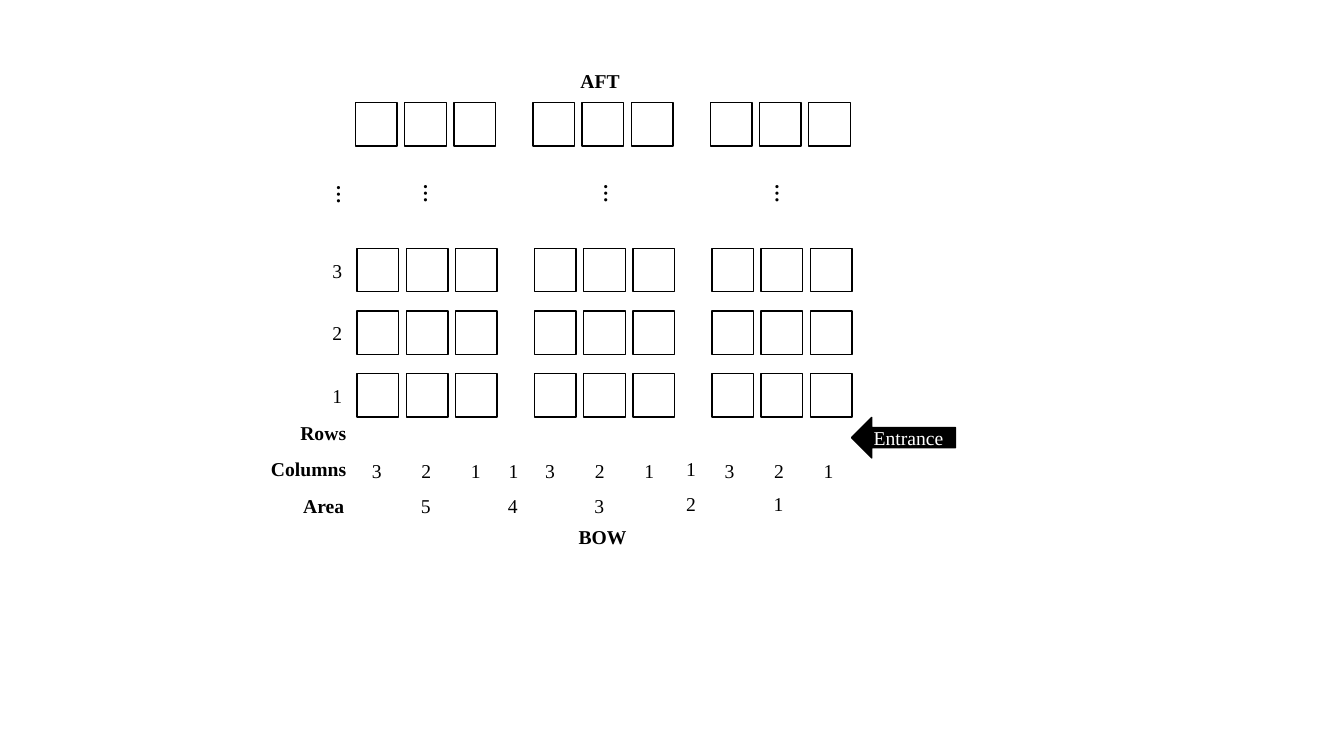
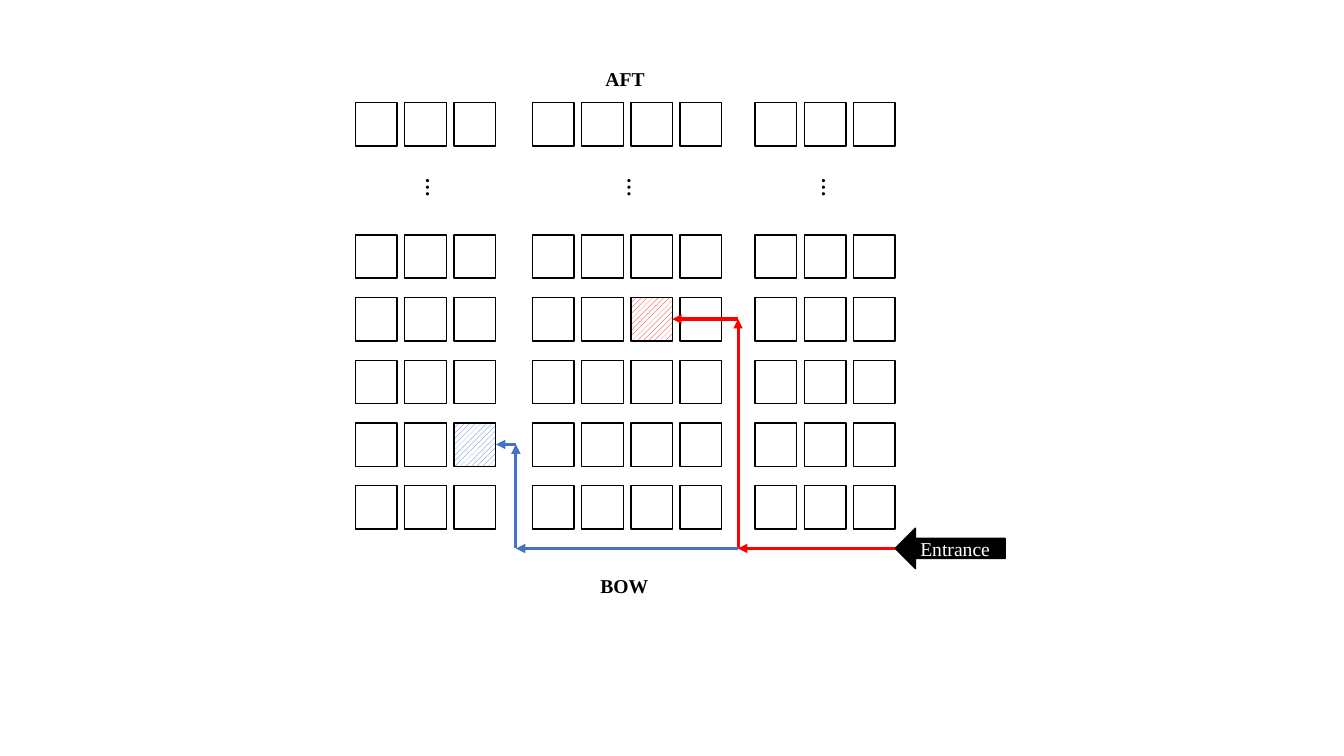
"""Two seating plans of a vessel: the numbering scheme and two boarding routes."""
import dataclasses
import typing

import lxml.etree
import pptx
import pptx.dml.color
import pptx.enum.dml
import pptx.enum.shapes
import pptx.enum.text
import pptx.oxml.ns
import pptx.shapes.autoshape
import pptx.slide
import pptx.util

Cm = pptx.util.Cm
Color = pptx.dml.color.RGBColor
qn = pptx.oxml.ns.qn


@dataclasses.dataclass(frozen=True)
class Theme:
    """Colours, type and line weights shared by both slides."""
    ink: Color = Color(0x00, 0x00, 0x00)
    paper: Color = Color(0xFF, 0xFF, 0xFF)
    red: Color = Color(0xFF, 0x00, 0x00)
    blue: Color = Color(0x44, 0x72, 0xC4)
    font: str = "Times New Roman"
    size: float = 14
    outline: float = 1
    route: float = 2.25


THEME = Theme()

# Lengths below are centimetres.
SEAT_WIDTH, SEAT_HEIGHT = 1.05, 1.09
SEAT_PITCH, ROW_PITCH = 1.24, 1.58
AFT_ROW_TOP = 2.59
LABEL_HEIGHT = 0.86
DIGIT_WIDTH, DOTS_WIDTH = 0.84, 1.78
ARROW_HEIGHT = 1.02


class Block(typing.NamedTuple):
    """Adjacent seats of one row."""
    left: float
    seats: int


class Label(typing.NamedTuple):
    """A one-line text box."""
    text: str
    left: float
    top: float
    width: float = DIGIT_WIDTH
    bold: bool = False
    rotation: float = 0


class Leg(typing.NamedTuple):
    """One straight arrow of a boarding route."""
    start: tuple[float, float]
    end: tuple[float, float]
    color: Color


class Entrance(typing.NamedTuple):
    """The block arrow that marks the entrance."""
    left: float
    top: float
    width: float


def style_text(frame: pptx.text.text.TextFrame, text: str, color: Color, bold: bool = False) -> None:
    """Write one line of text in the theme's type."""
    frame.text = text
    for span in frame.paragraphs[0].runs:
        span.font.name = THEME.font
        span.font.size = pptx.util.Pt(THEME.size)
        span.font.bold = bold
        span.font.color.rgb = color


def outline_shape(shape: pptx.shapes.autoshape.Shape) -> None:
    """Give a shape the thin black outline and no shadow."""
    shape.shadow.inherit = False
    shape.line.color.rgb = THEME.ink
    shape.line.width = pptx.util.Pt(THEME.outline)


def add_row(shapes: typing.Any, blocks: list[Block], top: float) -> list[pptx.shapes.autoshape.Shape]:
    """Draw the seats of one row and return them from left to right."""
    seats = []
    for block in blocks:
        for column in range(block.seats):
            seat = shapes.add_shape(
                pptx.enum.shapes.MSO_SHAPE.RECTANGLE,
                Cm(block.left + column * SEAT_PITCH), Cm(top), Cm(SEAT_WIDTH), Cm(SEAT_HEIGHT))
            outline_shape(seat)
            seat.fill.background()
            seats.append(seat)
    return seats


def hatch_seat(seat: pptx.shapes.autoshape.Shape, color: Color) -> None:
    """Mark a seat as the goal of a route."""
    seat.fill.patterned()
    seat.fill.pattern = pptx.enum.dml.MSO_PATTERN.WIDE_UPWARD_DIAGONAL
    seat.fill.fore_color.rgb = color
    seat.fill.back_color.rgb = THEME.paper


def add_label(page: pptx.slide.Slide, label: Label) -> None:
    """Place a text box."""
    box = page.shapes.add_textbox(
        Cm(label.left), Cm(label.top), Cm(label.width), Cm(LABEL_HEIGHT))
    box.rotation = label.rotation
    box.text_frame.word_wrap = True
    box.text_frame.auto_size = pptx.enum.text.MSO_AUTO_SIZE.SHAPE_TO_FIT_TEXT
    style_text(box.text_frame, label.text, THEME.ink, label.bold)


def add_entrance(page: pptx.slide.Slide, entrance: Entrance) -> None:
    """Draw the black entrance arrow."""
    arrow = page.shapes.add_shape(
        pptx.enum.shapes.MSO_SHAPE.LEFT_ARROW,
        Cm(entrance.left), Cm(entrance.top), Cm(entrance.width), Cm(ARROW_HEIGHT))
    outline_shape(arrow)
    arrow.fill.solid()
    arrow.fill.fore_color.rgb = THEME.ink
    frame = arrow.text_frame
    style_text(frame, "Entrance", THEME.paper)
    frame.vertical_anchor = pptx.enum.text.MSO_ANCHOR.MIDDLE
    frame.paragraphs[0].alignment = pptx.enum.text.PP_ALIGN.CENTER


def add_leg(page: pptx.slide.Slide, leg: Leg) -> None:
    """Draw one arrow of a route."""
    line = page.shapes.add_connector(
        pptx.enum.shapes.MSO_CONNECTOR.STRAIGHT,
        *(Cm(value) for value in leg.start + leg.end))
    line.line.color.rgb = leg.color
    line.line.width = pptx.util.Pt(THEME.route)
    properties = line.element.spPr
    lxml.etree.SubElement(properties.find(qn("a:ln")), qn("a:tailEnd"), type="triangle")
    lxml.etree.SubElement(properties, qn("a:effectLst"))


def heading(text: str, left: float, top: float, width: float) -> Label:
    """Describe a bold label."""
    return Label(text, left, top, width, bold=True)


def dots(left: float, top: float) -> Label:
    """Describe a vertical ellipsis for the rows left out."""
    return Label("…", left, top, DOTS_WIDTH, bold=True, rotation=270)


def build_numbering(page: pptx.slide.Slide) -> None:
    """Show how rows, columns and areas are numbered."""
    first_top, row_count = 9.42, 3
    blocks = [Block(9.0 + 4.47 * index, 3) for index in range(3)]
    aft_blocks = [Block(block.left - 0.04, block.seats) for block in blocks]
    for row in range(row_count):
        add_row(page.shapes.add_group_shape().shapes, blocks, first_top - row * ROW_PITCH)
    add_row(page.shapes.add_group_shape().shapes, aft_blocks, AFT_ROW_TOP)

    row_numbers = [Label(str(row + 1), 8.13, 9.55 - row * ROW_PITCH) for row in range(row_count)]
    column_numbers = [
        Label(str(3 - column), left + 1.25 * column, 11.43)
        for left in (9.12, 13.49, 18.01) for column in range(3)]
    labels = [
        heading("AFT", 14.38, 1.6, 1.6),
        heading("BOW", 14.33, 13.11, 1.78),
        heading("Rows", 7.32, 10.49, 1.78),
        heading("Columns", 6.58, 11.4, 2.41),
        heading("Area", 7.39, 12.32, 1.6),
        dots(7.49, 4.09), dots(9.68, 4.06), dots(14.22, 4.06), dots(18.54, 4.06),
        Label("1", 12.57, 11.43), Label("1", 17.04, 11.4),
        Label("5", 10.36, 12.32), Label("4", 12.55, 12.32), Label("3", 14.73, 12.32),
        Label("2", 17.04, 12.27), Label("1", 19.25, 12.27),
    ]
    for label in row_numbers + column_numbers + labels:
        add_label(page, label)
    add_entrance(page, Entrance(21.46, 10.52, 2.62))


def build_routes(page: pptx.slide.Slide) -> None:
    """Show the routes from the entrance to two seats."""
    first_top, row_count = 12.24, 5
    blocks = [Block(8.96, 3), Block(13.42, 4), Block(19.03, 3)]
    rows = [add_row(page.shapes, blocks, first_top - row * ROW_PITCH) for row in range(row_count)]
    add_row(page.shapes, blocks, AFT_ROW_TOP)
    hatch_seat(rows[1][2], THEME.blue)
    hatch_seat(rows[3][5], THEME.red)

    labels = [
        heading("AFT", 15.01, 1.57, 1.6),
        heading("BOW", 14.88, 14.33, 1.78),
        *(dots(left, 3.91) for left in (9.73, 14.81, 19.71)),
    ]
    for label in labels:
        add_label(page, label)
    add_entrance(page, Entrance(22.56, 13.31, 2.77))

    bow_aisle, red_aisle, blue_aisle = 13.82, 18.6, 13.0
    red_seat, blue_seat = 8.04, 11.2
    legs = [
        Leg((red_aisle, bow_aisle), (red_aisle, red_seat), THEME.red),
        Leg((red_aisle, red_seat), (16.94, red_seat), THEME.red),
        Leg((red_aisle, bow_aisle), (blue_aisle, bow_aisle), THEME.blue),
        Leg((blue_aisle, bow_aisle), (blue_aisle, blue_seat), THEME.blue),
        Leg((blue_aisle, blue_seat), (12.5, blue_seat), THEME.blue),
        Leg((22.56, bow_aisle), (red_aisle, bow_aisle), THEME.red),
    ]
    for leg in legs:
        add_leg(page, leg)


def main() -> None:
    """Build and save the deck."""
    deck = pptx.Presentation()
    deck.slide_width, deck.slide_height = Cm(33.87), Cm(19.05)
    blank = deck.slide_layouts[6]
    for build in (build_numbering, build_routes):
        build(deck.slides.add_slide(blank))
    deck.save("out.pptx")


main()
